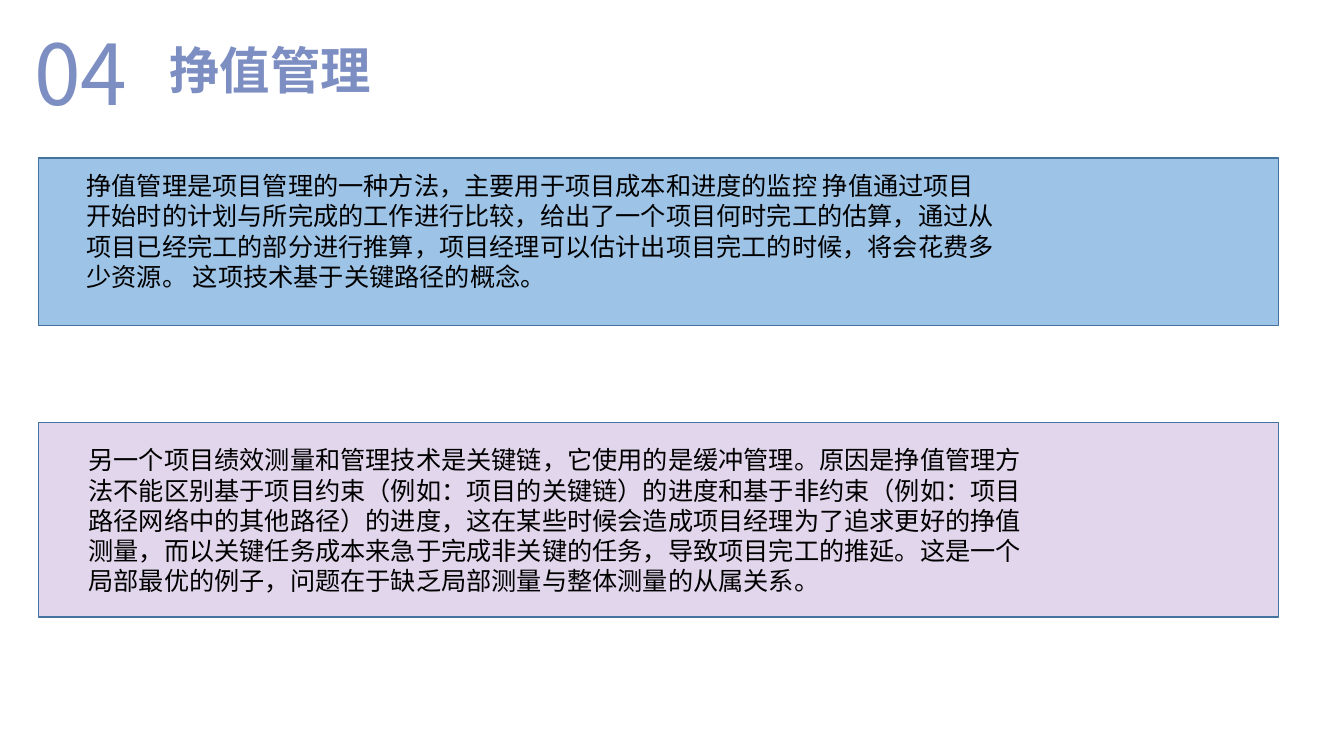
import pptx
import pptx.dml.color
import pptx.enum.shapes
import pptx.enum.text
import pptx.oxml.ns
import pptx.util
from lxml import etree

Pt = pptx.util.Pt
RGBColor = pptx.dml.color.RGBColor

HEADING = RGBColor(0x7D, 0x8E, 0xC3)
BLUE_PANEL = RGBColor(0x9D, 0xC3, 0xE6)
LILAC_PANEL = RGBColor(0xE2, 0xD6, 0xEC)
PANEL_LINE = RGBColor(0x43, 0x73, 0x9E)
BLACK = RGBColor(0, 0, 0)

CHINESE_FONT = "Noto Sans CJK SC"
BODY_FONT = "Calibri"
LINE_HEIGHT = 1.2  # multiple of the font size
TOP_INSET = 0.09  # extra top inset, as a share of the font size

EARNED_VALUE = (
    "挣值管理是项目管理的一种方法，主要用于项目成本和进度的监控 挣值通过项目"
    "开始时的计划与所完成的工作进行比较，给出了一个项目何时完工的估算，通过从"
    "项目已经完工的部分进行推算，项目经理可以估计出项目完工的时候，将会花费多"
    "少资源。 这项技术基于关键路径的概念。"
)
CRITICAL_CHAIN = (
    "另一个项目绩效测量和管理技术是关键链，它使用的是缓冲管理。原因是挣值管理方"
    "法不能区别基于项目约束（例如：项目的关键链）的进度和基于非约束（例如：项目"
    "路径网络中的其他路径）的进度，这在某些时候会造成项目经理为了追求更好的挣值"
    "测量，而以关键任务成本来急于完成非关键的任务，导致项目完工的推延。这是一个"
    "局部最优的例子，问题在于缺乏局部测量与整体测量的从属关系。"
)


def add_text(slide, text, left, top, width, height, size, color, font_name, bold=False):
    box = slide.shapes.add_textbox(Pt(left), Pt(top), Pt(width), Pt(height))
    frame = box.text_frame
    frame.word_wrap = True
    frame.auto_size = pptx.enum.text.MSO_AUTO_SIZE.NONE
    frame.margin_top = Pt(3.6 + TOP_INSET * size)
    frame.margin_bottom = 0
    frame.text = text
    paragraph = frame.paragraphs[0]
    paragraph.line_spacing = Pt(LINE_HEIGHT * size)
    run = paragraph.runs[0]
    run.font.size = Pt(size)
    run.font.bold = bold
    run.font.color.rgb = color
    run.font.name = font_name
    # East Asian typeface
    properties = run.font._element
    east_asian = etree.SubElement(properties, pptx.oxml.ns.qn("a:ea"))
    east_asian.set("typeface", CHINESE_FONT)


def add_panel(slide, top, height, fill):
    panel = slide.shapes.add_shape(
        pptx.enum.shapes.MSO_SHAPE.RECTANGLE, Pt(27.5), Pt(top), Pt(885.6), Pt(height)
    )
    panel.shadow.inherit = False
    panel.fill.solid()
    panel.fill.fore_color.rgb = fill
    panel.line.color.rgb = PANEL_LINE
    panel.line.width = Pt(1)


def main():
    presentation = pptx.Presentation()
    presentation.slide_width = Pt(960)
    presentation.slide_height = Pt(540)
    slide = presentation.slides.add_slide(presentation.slide_layouts[6])

    # Section number and title
    add_text(slide, "04", 17.3, 6.5, 152.6, 79.9, 60, HEADING, CHINESE_FONT)
    add_text(slide, "挣值管理", 113.8, 20.9, 580.3, 51.1, 36, HEADING, CHINESE_FONT, bold=True)

    # Earned value panel
    add_panel(slide, 113, 119.5, BLUE_PANEL)
    add_text(slide, EARNED_VALUE, 54.7, 116.6, 666, 115.9, 18, BLACK, BODY_FONT)

    # Critical chain panel
    add_panel(slide, 301.7, 139, LILAC_PANEL)
    add_text(slide, CRITICAL_CHAIN, 56.2, 312.5, 693.4, 115.9, 18, BLACK, BODY_FONT)

    presentation.save("out.pptx")


if __name__ == "__main__":
    main()
